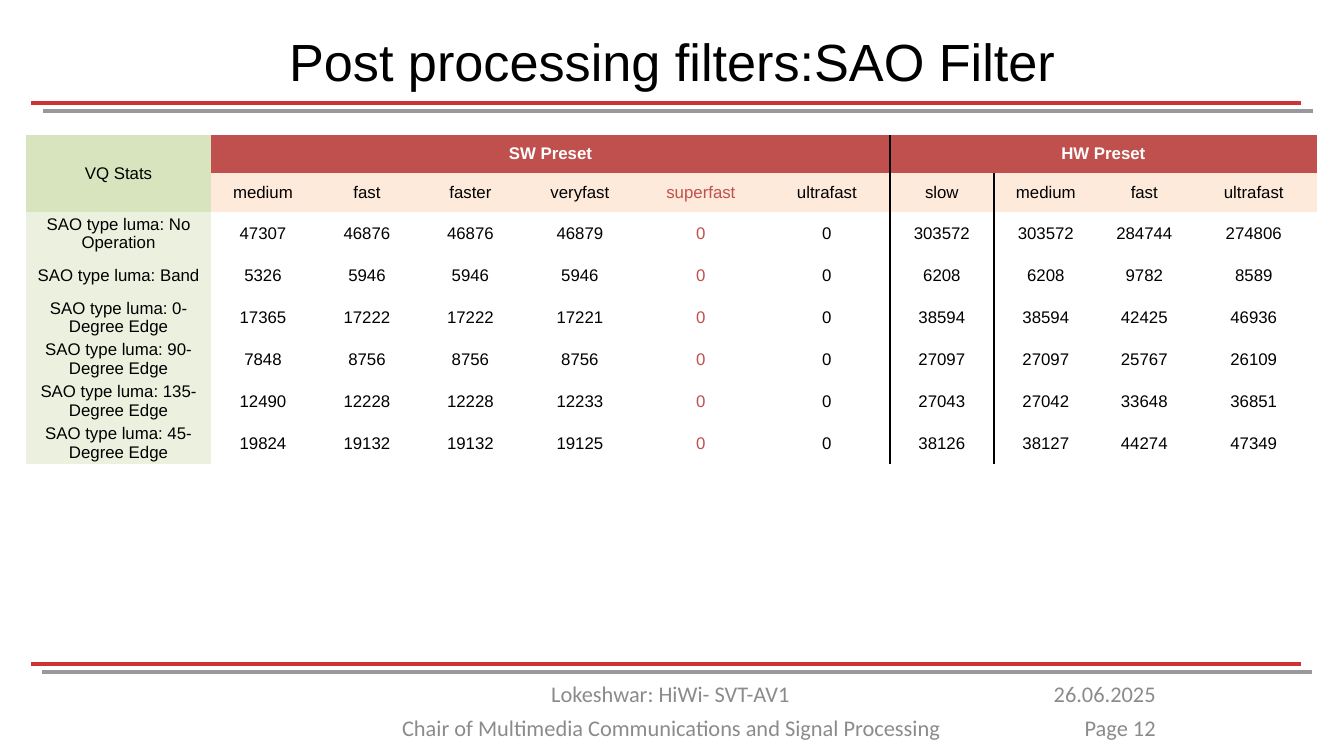
"""Build the slide with the SAO filter statistics table."""
import lxml.etree
import pptx
import pptx.dml.color
import pptx.enum.shapes
import pptx.enum.text
import pptx.oxml.ns
import pptx.util

SCALE = pptx.util.Inches(10) / 1344
BLACK = pptx.dml.color.RGBColor(0x00, 0x00, 0x00)
WHITE = pptx.dml.color.RGBColor(0xFF, 0xFF, 0xFF)
RULE_RED = pptx.dml.color.RGBColor(0xCC, 0x33, 0x33)
RULE_GRAY = pptx.dml.color.RGBColor(0x99, 0x99, 0x99)
FOOTER_GRAY = pptx.dml.color.RGBColor(0x8B, 0x8B, 0x8B)
HEADER_RED = pptx.dml.color.RGBColor(0xC0, 0x50, 0x4D)
PRESET_PEACH = pptx.dml.color.RGBColor(0xFD, 0xEA, 0xDA)
CORNER_GREEN = pptx.dml.color.RGBColor(0xD7, 0xE4, 0xBD)
LABEL_GREEN = pptx.dml.color.RGBColor(0xEB, 0xF1, 0xDE)
CENTER = pptx.enum.text.PP_ALIGN.CENTER
RIGHT = pptx.enum.text.PP_ALIGN.RIGHT
ANCHOR = pptx.enum.text.MSO_ANCHOR


def px(length):
    return pptx.util.Emu(round(length * SCALE))


def add_border(cell, side, visible):
    properties = cell._tc.get_or_add_tcPr()
    border = lxml.etree.SubElement(properties, pptx.oxml.ns.qn(f"a:ln{side}"), w="12700")
    if visible:
        fill = lxml.etree.SubElement(border, pptx.oxml.ns.qn("a:solidFill"))
        lxml.etree.SubElement(fill, pptx.oxml.ns.qn("a:srgbClr"), val=str(BLACK))
    else:
        lxml.etree.SubElement(border, pptx.oxml.ns.qn("a:noFill"))


presentation = pptx.Presentation()
presentation.slide_width = px(1344)
presentation.slide_height = px(756)
slide = presentation.slides.add_slide(presentation.slide_layouts[5])

for left, top, color in [
    (31, 103, RULE_RED),
    (43, 111, RULE_GRAY),
    (31, 664, RULE_RED),
    (42, 672, RULE_GRAY),
]:
    rule = slide.shapes.add_connector(
        pptx.enum.shapes.MSO_CONNECTOR.STRAIGHT, px(left), px(top), px(left + 1270), px(top)
    )
    rule.line.color.rgb = color
    rule.line.width = pptx.util.Pt(2.25)
    lxml.etree.SubElement(rule._element.spPr, pptx.oxml.ns.qn("a:effectLst"))

for text, left, top, width, alignment in [
    ("Chair of Multimedia Communications and Signal Processing", 349, 708, 645, CENTER),
    ("Lokeshwar: HiWi- SVT-AV1", 348, 674, 645, CENTER),
    ("26.06.2025", 1032, 674, 137, RIGHT),
    ("Page 12", 1011, 708, 158, RIGHT),
]:
    footer = slide.shapes.add_textbox(px(left), px(top), px(width), px(40)).text_frame
    footer.word_wrap = True
    footer.text = text
    footer.paragraphs[0].alignment = alignment
    footer.paragraphs[0].font.name = "Calibri"
    footer.paragraphs[0].font.size = pptx.util.Pt(12)
    footer.paragraphs[0].font.color.rgb = FOOTER_GRAY

title = slide.shapes.title
title.left, title.top, title.width, title.height = px(67), px(19), px(1210), px(84)
title.text_frame.text = "Post processing filters:SAO Filter"
title.text_frame.auto_size = pptx.enum.text.MSO_AUTO_SIZE.NONE
title.text_frame.vertical_anchor = ANCHOR.MIDDLE
heading = title.text_frame.paragraphs[0]
heading.alignment = CENTER
heading.font.name = "Arial"
heading.font.size = pptx.util.Pt(28)
heading.font.color.rgb = BLACK

rows = [
    ["VQ Stats", "SW Preset", "", "", "", "", "", "HW Preset", "", "", ""],
    ["", "medium", "fast", "faster", "veryfast", "superfast", "ultrafast",
     "slow", "medium", "fast", "ultrafast"],
    ["SAO type luma: No Operation", 47307, 46876, 46876, 46879, 0, 0,
     303572, 303572, 284744, 274806],
    ["SAO type luma: Band", 5326, 5946, 5946, 5946, 0, 0, 6208, 6208, 9782, 8589],
    ["SAO type luma: 0-Degree Edge", 17365, 17222, 17222, 17221, 0, 0,
     38594, 38594, 42425, 46936],
    ["SAO type luma: 90-Degree Edge", 7848, 8756, 8756, 8756, 0, 0,
     27097, 27097, 25767, 26109],
    ["SAO type luma: 135-Degree Edge", 12490, 12228, 12228, 12233, 0, 0,
     27043, 27042, 33648, 36851],
    ["SAO type luma: 45-Degree Edge", 19824, 19132, 19132, 19125, 0, 0,
     38126, 38127, 44274, 47349],
]
column_widths = [185, 104, 104, 103, 116, 126, 126, 104, 104, 93, 126]
row_heights = [38, 39] + [42] * 6
SUPERFAST, ULTRAFAST, SLOW = 5, 6, 7

stats = slide.shapes.add_table(
    len(rows), len(column_widths), px(26), px(135), px(sum(column_widths)), px(sum(row_heights))
).table
stats.first_row = False
stats.horz_banding = False
for column, width in zip(stats.columns, column_widths):
    column.width = px(width)
for row, height in zip(stats.rows, row_heights):
    row.height = px(height)

for r, values in enumerate(rows):
    dividers = [ULTRAFAST] if r == 0 else [ULTRAFAST, SLOW]
    for c, value in enumerate(values):
        cell = stats.cell(r, c)
        add_border(cell, "L", c - 1 in dividers)
        add_border(cell, "R", c in dividers)
        add_border(cell, "T", False)
        add_border(cell, "B", False)

        is_group = r == 0 and c > 0
        margin = 9 if r < 2 else 1
        cell.margin_left = cell.margin_right = cell.margin_top = px(margin)
        cell.margin_bottom = px(margin if r < 2 else 0)
        cell.vertical_anchor = ANCHOR.TOP if is_group else ANCHOR.MIDDLE

        if c > 0 and r > 1:
            cell.fill.background()
        else:
            cell.fill.solid()
            if c == 0:
                cell.fill.fore_color.rgb = CORNER_GREEN if r < 2 else LABEL_GREEN
            else:
                cell.fill.fore_color.rgb = HEADER_RED if is_group else PRESET_PEACH

        cell.text = str(value)
        paragraph = cell.text_frame.paragraphs[0]
        paragraph.alignment = CENTER
        paragraph.font.name = "Arial"
        paragraph.font.size = pptx.util.Pt(9)
        paragraph.font.bold = is_group
        if is_group:
            paragraph.font.color.rgb = WHITE
        else:
            paragraph.font.color.rgb = HEADER_RED if c == SUPERFAST else BLACK

stats.cell(0, 0).merge(stats.cell(1, 0))
stats.cell(0, 1).merge(stats.cell(0, ULTRAFAST))
stats.cell(0, SLOW).merge(stats.cell(0, len(column_widths) - 1))

presentation.save("out.pptx")
